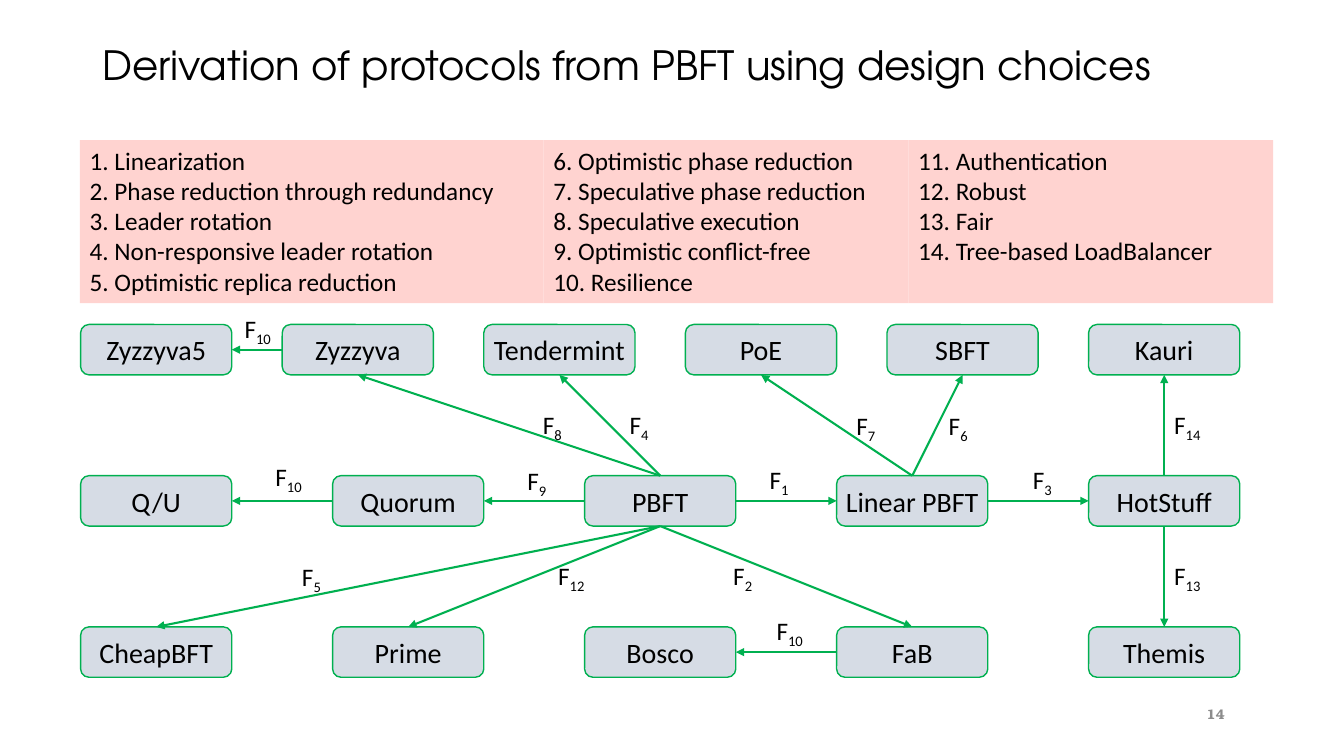
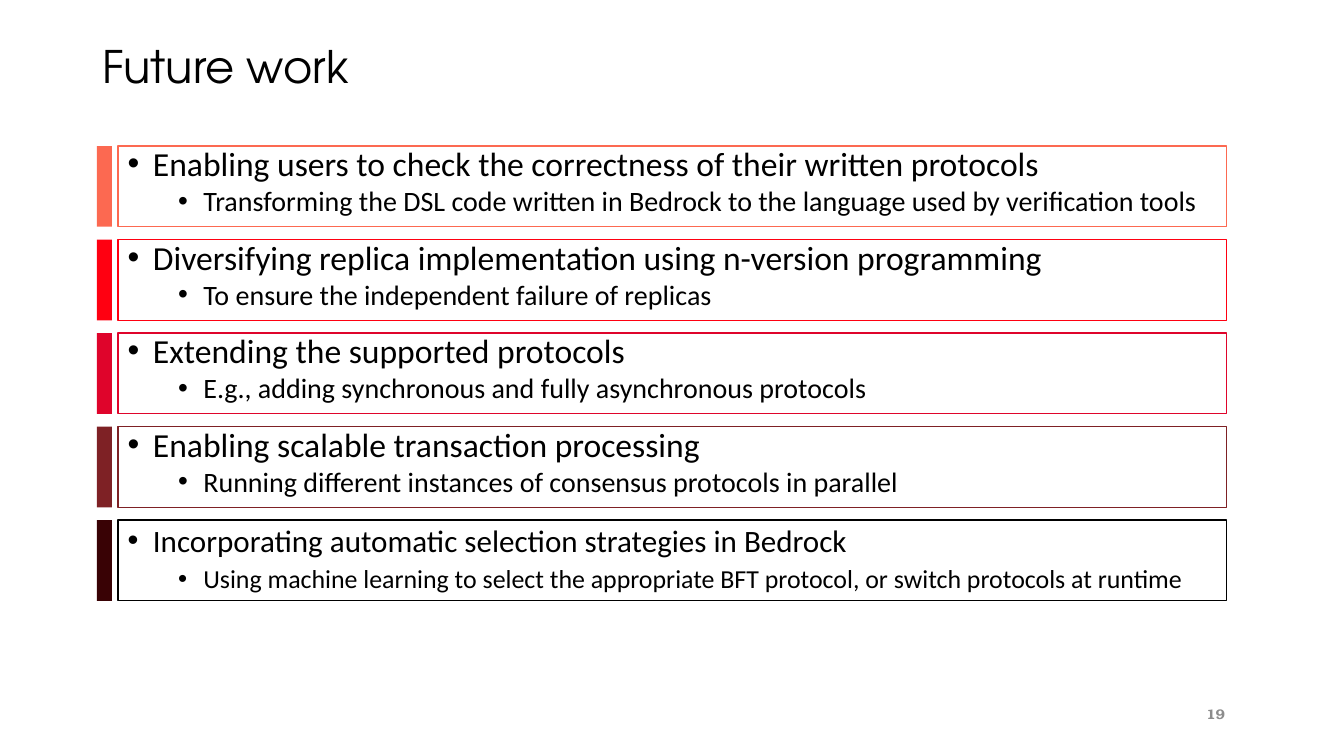
from dataclasses import dataclass

from lxml import etree
from pptx import Presentation
from pptx import util as u
from pptx.dml import color
from pptx.enum import shapes, text
from pptx.oxml import ns


@dataclass(frozen=True)
class Theme:
    """Colours, fonts and type sizes shared by the slides."""
    ink: str = "000000"
    paper: str = "FFFFFF"
    muted: str = "8C8C8C"
    legend: str = "FFD3D0"
    node: str = "D6DCE5"
    edge: str = "00B050"
    title_font: str = "TeX Gyre Adventor"
    number_font: str = "TeX Gyre Bonum"
    body_font: str = "Calibri"
    number_size: float = 10
    label_size: float = 18
    node_size: float = 20


THEME = Theme()

LEGEND = [
    (331.2, ["1. Linearization", "2. Phase reduction through redundancy",
             "3. Leader rotation", "4. Non-responsive leader rotation",
             "5. Optimistic replica reduction"]),
    (260.6, ["6. Optimistic phase reduction", "7. Speculative phase reduction",
             "8. Speculative execution", "9. Optimistic conflict-free",
             "10. Resilience"]),
    (260.6, ["11. Authentication", "12. Robust", "13. Fair",
             "14. Tree-based LoadBalancer"]),
]

PROTOCOL_ROWS = [
    (144, ["Zyzzyva5", "Zyzzyva", "Tendermint", "PoE", "SBFT", "Kauri"]),
    (180, ["Q/U", "Quorum", "PBFT", "Linear PBFT", "HotStuff"]),
    (180, ["CheapBFT", "Prime", "Bosco", "FaB", "Themis"]),
]

DERIVATIONS = [
    ("PBFT", "Linear PBFT", "1", -19, -30),
    ("PBFT", "Tendermint", "4", 7, -15),
    ("PBFT", "FaB", "2", -45, -15),
    ("PBFT", "Zyzzyva", "8", 17, -15),
    ("PBFT", "CheapBFT", "5", -83, -14.5),
    ("PBFT", "Prime", "12", 10, -15),
    ("PBFT", "Quorum", "9", -12, -29),
    ("Linear PBFT", "HotStuff", "3", -11, -30),
    ("Linear PBFT", "PoE", "7", 7, -14.5),
    ("Linear PBFT", "SBFT", "6", 1, -14.5),
    ("HotStuff", "Kauri", "14", 0, -15),
    ("HotStuff", "Themis", "13", 0, -15),
    ("Zyzzyva", "Zyzzyva5", "10", -16, -29.5),
    ("Quorum", "Q/U", "10", -12, -32),
    ("FaB", "Bosco", "10", -14, -30),
]

FUTURE_WORK = [
    ("FC6951", "FC6951", 0.8, 24, 20,
     "Enabling users to check the correctness of their written protocols",
     "Transforming the DSL code written in Bedrock to the language used by verification tools"),
    ("FF0011", "FF0011", 0.8, 24, 20,
     "Diversifying replica implementation using n-version programming",
     "To ensure the independent failure of replicas"),
    ("DF042B", "DF042B", 0.8, 24, 20,
     "Extending the supported protocols",
     "E.g., adding synchronous and fully asynchronous protocols"),
    ("7E2125", "7E2125", 0.8, 24, 20,
     "Enabling scalable transaction processing",
     "Running different instances of consensus protocols in parallel"),
    ("390205", "000000", 0.9, 22.2, 18.5,
     "Incorporating automatic selection strategies in Bedrock",
     "Using machine learning to select the appropriate BFT protocol, or switch protocols at runtime"),
]


def rgb(value):
    """Turn a hex string into a colour."""
    return color.RGBColor.from_string(value)


def points(*lengths):
    """Turn numbers into lengths in points."""
    return [u.Pt(length) for length in lengths]


def add_span(para, words, size, font=THEME.body_font, ink=THEME.ink, bold=False):
    """Add one styled run to a paragraph."""
    span = para.add_run()
    span.text = words
    span.font.size = u.Pt(size)
    span.font.name = font
    span.font.bold = bold
    span.font.color.rgb = rgb(ink)
    return span


def add_text_box(page, box, wrap=True):
    """Add an empty text box and return its text frame."""
    frame = page.shapes.add_textbox(*points(*box)).text_frame
    frame.word_wrap = wrap
    return frame


def add_panel(page, box, fill, line=None, kind=shapes.MSO_SHAPE.RECTANGLE):
    """Add a flat filled shape with top-left text."""
    panel = page.shapes.add_shape(kind, *points(*box))
    panel.shadow.inherit = False
    panel.fill.solid()
    panel.fill.fore_color.rgb = rgb(fill)
    if line:
        panel.line.color.rgb = rgb(line)
        panel.line.width = u.Pt(1)
    else:
        panel.line.fill.background()
    panel.text_frame.word_wrap = True
    panel.text_frame.vertical_anchor = text.MSO_ANCHOR.TOP
    panel.text_frame.paragraphs[0].alignment = text.PP_ALIGN.LEFT
    return panel


def add_page(deck, title, title_size, number):
    """Add a blank page with the shared title and page number."""
    page = deck.slides.add_slide(deck.slide_layouts[6])
    para = add_text_box(page, (66, 28.8, 828, 72)).paragraphs[0]
    para.line_spacing = 0.9
    add_span(para, title, title_size, THEME.title_font)
    frame = add_text_box(page, (666, 495.4, 216, 28.8))
    frame.vertical_anchor = text.MSO_ANCHOR.MIDDLE
    para = frame.paragraphs[0]
    para.alignment = text.PP_ALIGN.RIGHT
    add_span(para, number, THEME.number_size, THEME.number_font, THEME.muted, True)
    return page


def add_legend(page, left, top, height):
    """Place the numbered design choices in adjoining panels."""
    for width, choices in LEGEND:
        frame = add_panel(page, (left, top, width, height), THEME.legend).text_frame
        for index, choice in enumerate(choices):
            para = frame.add_paragraph() if index else frame.paragraphs[0]
            para.alignment = text.PP_ALIGN.LEFT
            add_span(para, choice, THEME.label_size)
        left += width


def add_node(page, left, top, name):
    """Add one rounded protocol node."""
    node = add_panel(page, (left, top, 108, 36), THEME.node, THEME.edge,
                     shapes.MSO_SHAPE.ROUNDED_RECTANGLE)
    frame = node.text_frame
    frame.margin_left = frame.margin_right = 0
    frame.vertical_anchor = text.MSO_ANCHOR.MIDDLE
    para = frame.paragraphs[0]
    para.alignment = text.PP_ALIGN.CENTER
    add_span(para, name, THEME.node_size)
    return node


def add_arrow(page, start, end):
    """Join the facing sides of two nodes with an arrow."""
    if start.top == end.top:
        sides = (3, 1) if start.left < end.left else (1, 3)
    else:
        sides = (2, 0) if start.top < end.top else (0, 2)
    arrow = page.shapes.add_connector(shapes.MSO_CONNECTOR.STRAIGHT, 0, 0, 0, 0)
    arrow.begin_connect(start, sides[0])
    arrow.end_connect(end, sides[1])
    arrow.line.color.rgb = rgb(THEME.edge)
    arrow.line.width = u.Pt(1.5)
    etree.SubElement(arrow.line._get_or_add_ln(), ns.qn("a:tailEnd"), type="triangle")
    etree.SubElement(arrow._element.spPr, ns.qn("a:effectLst"))
    return arrow


def add_derivations(page, left, top, row_pitch):
    """Place the protocol grid, its arrows and their function labels."""
    nodes = {}
    for row, (pitch, names) in enumerate(PROTOCOL_ROWS):
        for column, name in enumerate(names):
            nodes[name] = add_node(page, left + column * pitch, top + row * row_pitch, name)
    for source, target, function, shift_x, shift_y in DERIVATIONS:
        arrow = add_arrow(page, nodes[source], nodes[target])
        middle_x = u.Emu((arrow.begin_x + arrow.end_x) // 2).pt
        middle_y = u.Emu((arrow.begin_y + arrow.end_y) // 2).pt
        width = 29 if len(function) == 1 else 36
        frame = add_text_box(page, (middle_x + shift_x, middle_y + shift_y, width, 29), False)
        para = frame.paragraphs[0]
        add_span(para, "F", THEME.label_size)
        subscript = add_span(para, function, THEME.label_size)
        subscript.font._element.set("baseline", "-25000")


def add_bullet(para, words, size, indent, spacing):
    """Fill a paragraph as a hanging bullet."""
    properties = para._p.get_or_add_pPr()
    properties.set("marL", str(u.Pt(indent)))
    properties.set("indent", str(u.Pt(-18)))
    etree.SubElement(properties, ns.qn("a:buFont"), typeface="Arial")
    etree.SubElement(properties, ns.qn("a:buChar"), char="•")
    para.alignment = text.PP_ALIGN.LEFT
    para.line_spacing = spacing
    add_span(para, words, size)


def add_cards(page, left, top, width, height, pitch):
    """Stack the future work cards, each with a colour bar."""
    for index, (bar, line, spacing, size, detail_size, goal, detail) in enumerate(FUTURE_WORK):
        card_top = top + index * pitch
        add_panel(page, (left, card_top, 10.8, height), bar)
        card = add_panel(page, (left + 15.1, card_top, width - 15.1, height), THEME.paper, line)
        frame = card.text_frame
        add_bullet(frame.paragraphs[0], goal, size, 18, spacing)
        para = frame.add_paragraph()
        para.level = 1
        para.space_before = u.Pt(5)
        add_bullet(para, detail, detail_size, 54, spacing)


def main():
    """Build and save the deck."""
    deck = Presentation()
    deck.slide_width, deck.slide_height = points(960, 540)
    page = add_page(deck, "Derivation of protocols from PBFT using design choices", 28.8, "14")
    add_legend(page, 57, 100, 116.6)
    add_derivations(page, 57.6, 231.8, 108)
    page = add_page(deck, "Future work", 32, "19")
    add_cards(page, 69.1, 104.4, 807.1, 57.6, 66.8)
    deck.save("out.pptx")


if __name__ == "__main__":
    main()
